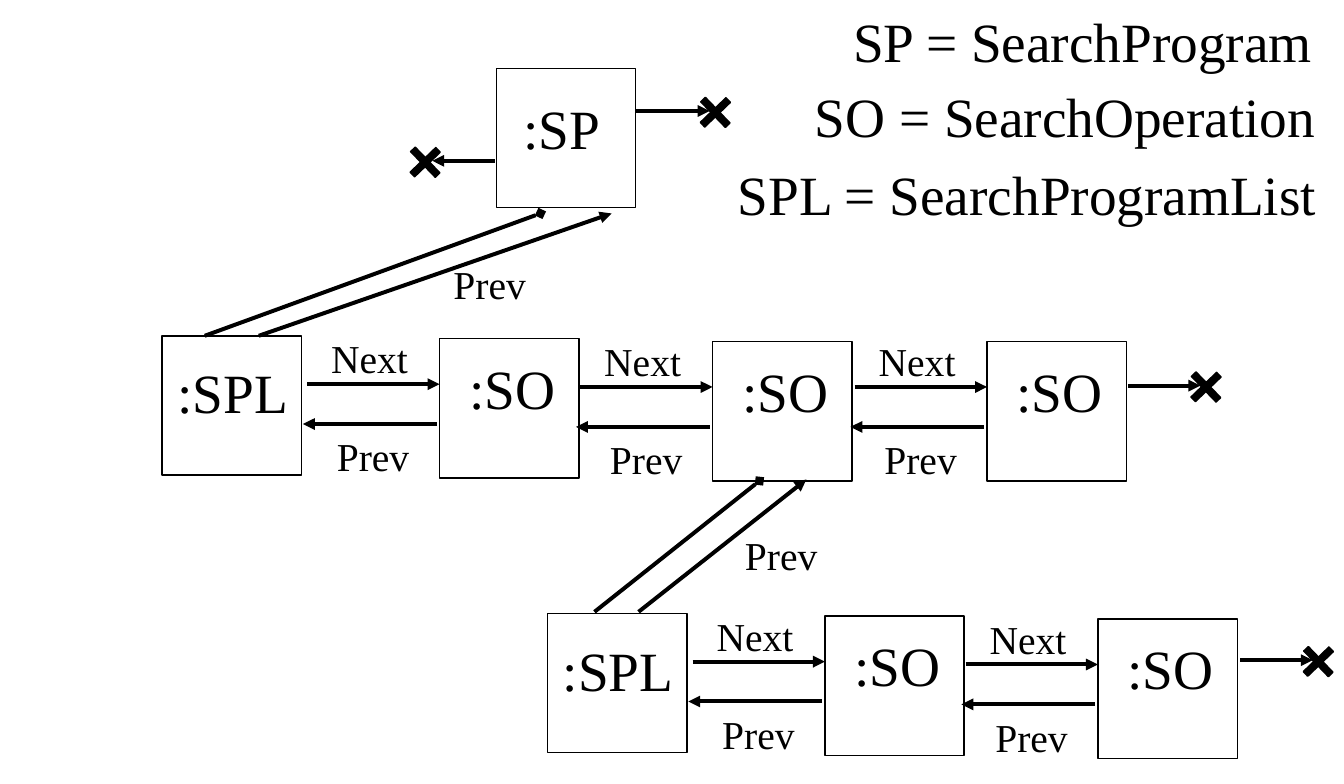
from dataclasses import dataclass

from lxml.etree import SubElement
from pptx import Presentation
from pptx.dml.color import RGBColor
from pptx.enum.shapes import MSO_CONNECTOR, MSO_SHAPE
from pptx.enum.text import MSO_AUTO_SIZE
from pptx.oxml.ns import qn
from pptx.util import Inches, Pt

COLUMNS, ROWS = 945, 551
BOX_SIDE, CROSS_SIDE = 98, 25
BLACK, WHITE = "000000", "FFFFFF"
FONT = "Times New Roman"
OBJECT_SIZE, LINK_SIZE = 28, 20


@dataclass(frozen=True)
class Node:
    label: str
    left: int
    top: int
    linked: bool = False  # joined to the node on its left


@dataclass(frozen=True)
class Label:
    text: str
    left: int
    top: int
    width: int
    height: int
    size: int = OBJECT_SIZE


@dataclass(frozen=True)
class Arrow:
    start: tuple[int, int]
    stop: tuple[int, int]
    head: str = ""
    tail: str = "triangle"


# Offset from the box corner, then size
LABEL_PLACES = {
    ":SP": (9, 13, 76, 56),
    ":SPL": (1, 11, 101, 54),
    ":SO": (11, 6, 82, 54),
}
NODES = [
    Node(":SP", 349, 48),
    Node(":SPL", 114, 236),
    Node(":SO", 309, 238, True),
    Node(":SO", 501, 240, True),
    Node(":SO", 694, 240, True),
    Node(":SPL", 385, 431),
    Node(":SO", 580, 433, True),
    Node(":SO", 772, 435, True),
]
LEGEND = [
    Label("SP = SearchProgram", 590, 0, 347, 54),
    Label("SO = SearchOperation", 563, 53, 382, 56),
    Label("SPL = SearchProgramList", 509, 108, 440, 54),
]
PARENT_LABELS = [
    Label("Prev", 309, 178, 74, 46, LINK_SIZE),
    Label("Prev", 514, 368, 74, 46, LINK_SIZE),
]
PARENT_ARROWS = [
    Arrow((380, 150), (144, 236), head="diamond", tail=""),
    Arrow((182, 236), (430, 150)),
    Arrow((534, 338), (418, 430), head="diamond", tail=""),
    Arrow((449, 430), (567, 337)),
]
END_ARROWS = [
    Arrow((348, 113), (304, 113)),
    Arrow((447, 78), (499, 78)),
    Arrow((793, 271), (844, 271)),
    Arrow((872, 464), (923, 464)),
]

deck = Presentation()
deck.slide_width, deck.slide_height = Inches(9.45), Inches(5.51)
slide = deck.slides.add_slide(deck.slide_layouts[6])


def col(columns: float) -> int:
    return round(deck.slide_width * columns / COLUMNS)


def row(rows: float) -> int:
    return round(deck.slide_height * rows / ROWS)


def color(hex_value: str) -> RGBColor:
    return RGBColor.from_string(hex_value)


def add_square(kind: MSO_SHAPE, left: float, top: float, side: int, fill: str):
    square = slide.shapes.add_shape(kind, col(left), row(top), col(side), row(side))
    square.shadow.inherit = False
    square.fill.solid()
    square.fill.fore_color.rgb = color(fill)
    square.line.color.rgb = color(BLACK)
    square.line.width = Pt(0)
    return square


def add_label(label: Label) -> None:
    box = slide.shapes.add_textbox(
        col(label.left), row(label.top), col(label.width), row(label.height))
    frame = box.text_frame
    frame.word_wrap = True
    frame.auto_size = MSO_AUTO_SIZE.SHAPE_TO_FIT_TEXT
    frame.text = label.text
    font = frame.paragraphs[0].runs[0].font
    font.name, font.size = FONT, Pt(label.size)
    font.color.rgb = color(BLACK)


def add_arrow(arrow: Arrow) -> None:
    (x1, y1), (x2, y2) = arrow.start, arrow.stop
    connector = slide.shapes.add_connector(
        MSO_CONNECTOR.STRAIGHT, col(x1), row(y1), col(x2), row(y2))
    connector.line.color.rgb = color(BLACK)
    connector.line.width = Pt(0)
    outline = connector.line._get_or_add_ln()
    for tag, ending in (("a:headEnd", arrow.head), ("a:tailEnd", arrow.tail)):
        if ending:
            SubElement(outline, qn(tag), type=ending)
    SubElement(connector._element.spPr, qn("a:effectLst"))


def add_end(arrow: Arrow) -> None:
    """Draw an arrow that stops at a cross, the sign for no further object."""
    add_arrow(arrow)
    (x1, _), (x2, y) = arrow.start, arrow.stop
    reach = 4 if x2 > x1 else -5
    half = CROSS_SIDE / 2
    cross = add_square(MSO_SHAPE.CROSS, x2 + reach - half, y + 1 - half, CROSS_SIDE, BLACK)
    cross.adjustments[0] = 0.41
    cross.rotation = 46.2


def add_links(node: Node) -> None:
    """Draw the Next and Prev arrows between a node and its left neighbour."""
    left, top = node.left, node.top
    add_arrow(Arrow((left - 93, top + 32), (left, top + 32)))
    add_arrow(Arrow((left - 2, top + 60), (left - 96, top + 60)))
    add_label(Label("Next", left - 86, top - 8, 74, 42, LINK_SIZE))
    add_label(Label("Prev", left - 82, top + 61, 74, 46, LINK_SIZE))


def add_node(node: Node) -> None:
    add_square(MSO_SHAPE.RECTANGLE, node.left, node.top, BOX_SIDE, WHITE)
    dx, dy, width, height = LABEL_PLACES[node.label]
    add_label(Label(node.label, node.left + dx, node.top + dy, width, height))
    if node.linked:
        add_links(node)


def main() -> None:
    for node in NODES:
        add_node(node)
    for label in LEGEND + PARENT_LABELS:
        add_label(label)
    for arrow in PARENT_ARROWS:
        add_arrow(arrow)
    for arrow in END_ARROWS:
        add_end(arrow)
    deck.save("out.pptx")


if __name__ == "__main__":
    main()
